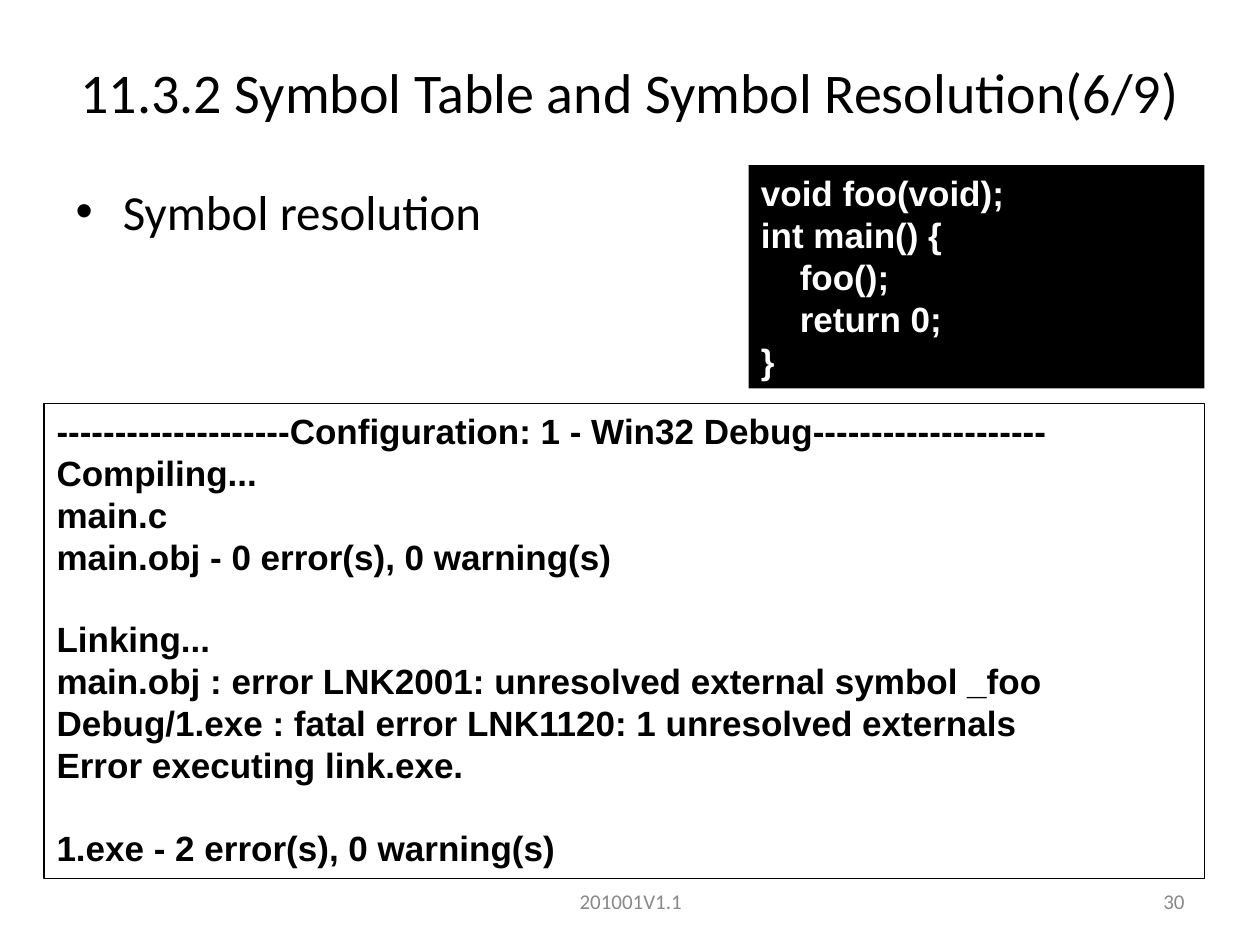
from dataclasses import dataclass

from pptx import Presentation
from pptx.dml.color import RGBColor
from pptx.enum.shapes import MSO_SHAPE
from pptx.enum.text import MSO_ANCHOR, MSO_AUTO_SIZE, PP_ALIGN
from pptx.util import Cm, Pt

COLOURS = {"black": "000000", "white": "FFFFFF", "grey": "898989"}

TITLE_FONT = {"name": "Calibri", "size": Pt(32)}
BULLET_FONT = {"name": "Calibri", "size": Pt(28)}
FOOTER_FONT = {"name": "Calibri", "size": Pt(12)}
LISTING_FONT = {"name": "Arial", "size": Pt(20), "bold": True}
LISTING_LINE = Pt(23)

CODE = """void foo(void);
int main() {
    foo();
    return 0;
}"""

# Each group of lines stands one line apart from the next
BUILD_LOG = [
    [
        "--------------------Configuration: 1 - Win32 Debug--------------------",
        "Compiling...",
        "main.c",
        "main.obj - 0 error(s), 0 warning(s)",
    ],
    [
        "Linking...",
        "main.obj : error LNK2001: unresolved external symbol _foo",
        "Debug/1.exe : fatal error LNK1120: 1 unresolved externals",
        "Error executing link.exe.",
    ],
    ["1.exe - 2 error(s), 0 warning(s)"],
]


@dataclass
class Box:
    left: float
    top: float
    width: float
    height: float

    def lengths(self):
        return [Cm(side) for side in (self.left, self.top, self.width, self.height)]


def colour(name):
    return RGBColor.from_string(COLOURS[name])


def write(para, text, font, colour_name, align=PP_ALIGN.LEFT):
    para.alignment = align
    span = para.add_run()
    span.text = text
    for attribute, value in font.items():
        setattr(span.font, attribute, value)
    span.font.color.rgb = colour(colour_name)


def fill_placeholder(shape, box, text, font, align, anchor):
    for side, length in zip(("left", "top", "width", "height"), box.lengths()):
        setattr(shape, side, length)
    frame = shape.text_frame
    frame.auto_size = MSO_AUTO_SIZE.NONE
    frame.vertical_anchor = anchor
    para = frame.paragraphs[0]
    para.space_before = Pt(0)
    write(para, text, font, "black", align)


def add_listing(page, box, groups, ink, fill=None, line=None):
    panel = page.shapes.add_shape(MSO_SHAPE.RECTANGLE, *box.lengths())
    panel.shadow.inherit = False
    if fill:
        panel.fill.solid()
        panel.fill.fore_color.rgb = colour(fill)
    else:
        panel.fill.background()
    if line:
        panel.line.color.rgb = colour(line)
        panel.line.width = Pt(0.75)
    else:
        panel.line.fill.background()

    frame = panel.text_frame
    frame.word_wrap = True
    frame.vertical_anchor = MSO_ANCHOR.TOP
    para = frame.paragraphs[0]
    for group_index, group in enumerate(groups):
        for line_index, text in enumerate(group):
            if group_index or line_index:
                para = frame.add_paragraph()
            if group_index and not line_index:
                para.space_before = LISTING_LINE
            write(para, text, LISTING_FONT, ink)


def add_footer(page, box, text, align):
    frame = page.shapes.add_textbox(*box.lengths()).text_frame
    frame.word_wrap = True
    frame.vertical_anchor = MSO_ANCHOR.MIDDLE
    write(frame.paragraphs[0], text, FOOTER_FONT, "grey", align)


def main():
    deck = Presentation()
    deck.slide_width, deck.slide_height = Cm(25.4), Cm(19.05)
    page = deck.slides.add_slide(deck.slide_layouts[1])

    # Title and bullet
    fill_placeholder(page.shapes.title, Box(0, 0.76, 25.4, 2.16),
                     "11.3.2 Symbol Table and Symbol Resolution(6/9)",
                     TITLE_FONT, PP_ALIGN.CENTER, MSO_ANCHOR.MIDDLE)
    fill_placeholder(page.placeholders[1], Box(1.27, 3.53, 22.86, 13.49),
                     "Symbol resolution",
                     BULLET_FONT, PP_ALIGN.LEFT, MSO_ANCHOR.TOP)

    # Source code and build log
    add_listing(page, Box(15.09, 3.33, 9.19, 4.5), [CODE.splitlines()],
                "white", fill="black")
    add_listing(page, Box(0.89, 8.13, 23.39, 9.58), BUILD_LOG,
                "black", line="black")

    # Footer
    add_footer(page, Box(8.69, 17.65, 8.05, 1.02), "201001V1.1", PP_ALIGN.CENTER)
    add_footer(page, Box(18.21, 17.65, 5.92, 1.02), "30", PP_ALIGN.RIGHT)

    deck.save("out.pptx")


if __name__ == "__main__":
    main()
